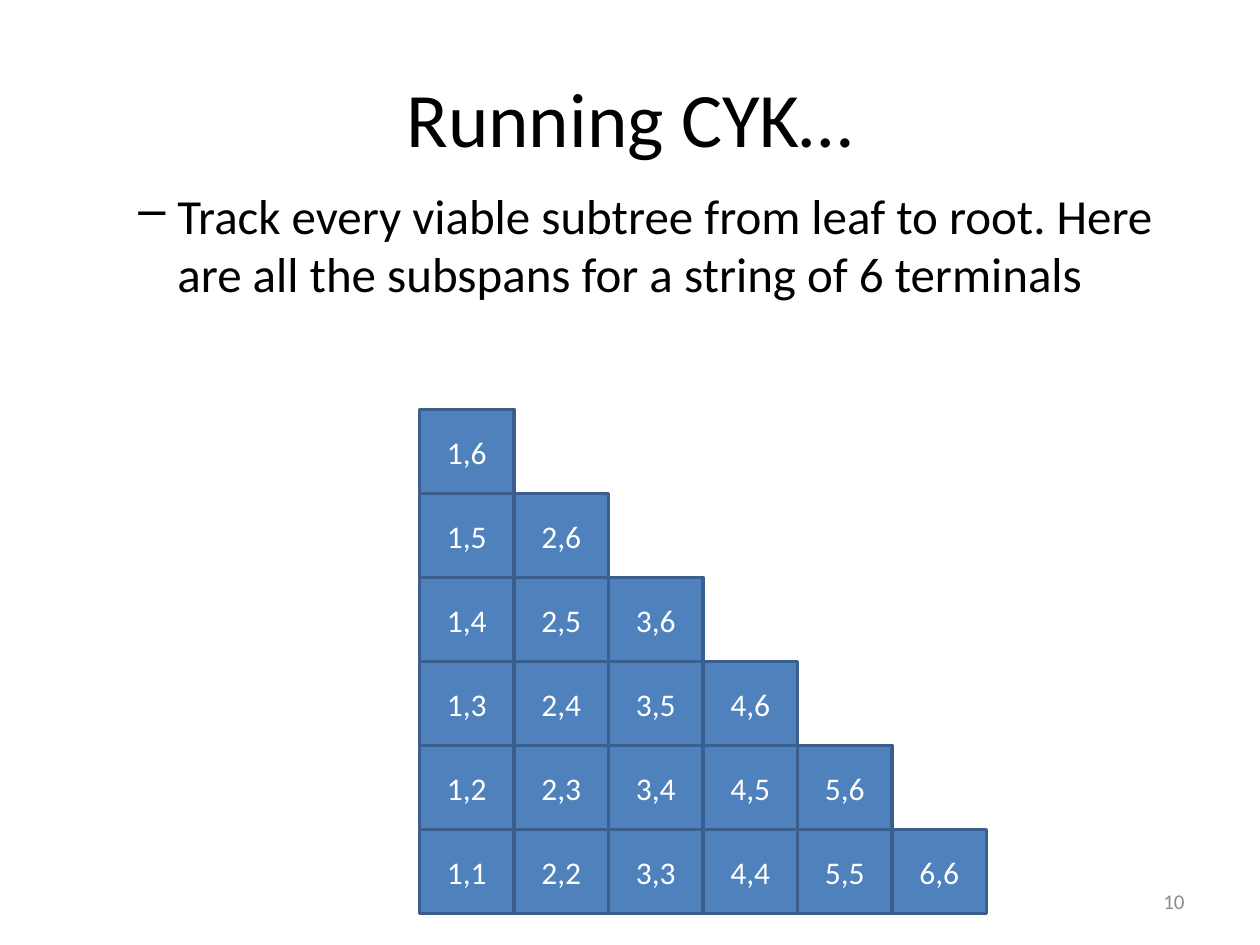
from dataclasses import dataclass

from lxml import etree
from pptx import Presentation
from pptx.dml.color import RGBColor
from pptx.enum import shapes, text
from pptx.oxml import ns
from pptx.util import Inches, Pt


@dataclass(frozen=True)
class Theme:
    font: str = "Calibri"
    ink: str = "000000"
    muted: str = "8C8C8C"
    cell_fill: str = "4F81BD"
    cell_line: str = "3A5F8C"
    cell_text: str = "FFFFFF"
    title_size: int = 44
    body_size: int = 28
    cell_size: int = 18
    number_size: int = 12


THEME = Theme()
TERMINALS = 6
CHART_LEFT, CHART_TOP = 3.33, 3.25
CELL_WIDTH, CELL_HEIGHT = 0.75, 2 / 3


def place(box, left, top, width, height):
    box.left, box.top = Inches(left), Inches(top)
    box.width, box.height = Inches(width), Inches(height)


def write(box, words, size, color, align, anchor=text.MSO_ANCHOR.MIDDLE):
    frame = box.text_frame
    frame.word_wrap = True
    frame.auto_size = text.MSO_AUTO_SIZE.NONE
    frame.vertical_anchor = anchor
    frame.text = words
    para = frame.paragraphs[0]
    para.alignment = align
    para.font.name = THEME.font
    para.font.size = Pt(size)
    para.font.color.rgb = RGBColor.from_string(color)
    return para


def add_text(page, area, *style):
    box = page.shapes.add_textbox(*map(Inches, area))
    return write(box, *style)


def add_dash(para, margin, indent):
    props = para._p.get_or_add_pPr()
    props.set("marL", str(Inches(margin)))
    props.set("indent", str(Inches(indent)))
    bullet = etree.Element(ns.qn("a:buChar"), char="–")
    props.find(ns.qn("a:defRPr")).addprevious(bullet)


def add_span_cell(page, first, last):
    """Place the cell for terminals first to last: longer spans sit higher."""
    row = TERMINALS - 1 - (last - first)
    cell = page.shapes.add_shape(
        shapes.MSO_SHAPE.RECTANGLE,
        Inches(CHART_LEFT + (first - 1) * CELL_WIDTH),
        Inches(CHART_TOP + row * CELL_HEIGHT),
        Inches(CELL_WIDTH), Inches(CELL_HEIGHT))
    cell.shadow.inherit = False
    cell.fill.solid()
    cell.fill.fore_color.rgb = RGBColor.from_string(THEME.cell_fill)
    cell.line.color.rgb = RGBColor.from_string(THEME.cell_line)
    cell.line.width = Pt(2)
    write(cell, f"{first},{last}", THEME.cell_size, THEME.cell_text,
          text.PP_ALIGN.CENTER)


def main():
    deck = Presentation()
    deck.slide_width, deck.slide_height = Inches(10), Inches(7.5)
    page = deck.slides.add_slide(deck.slide_layouts[5])

    # Title
    title = page.shapes.title
    place(title, 0.5, 0.3, 9, 1.25)
    write(title, "Running CYK…", THEME.title_size, THEME.ink,
          text.PP_ALIGN.CENTER)

    # Explanation
    point = add_text(
        page, (0.5, 1.42, 8.92, 2.25),
        "Track every viable subtree from leaf to root. "
        "Here are all the subspans for a string of 6 terminals",
        THEME.body_size, THEME.ink, text.PP_ALIGN.LEFT, text.MSO_ANCHOR.TOP)
    point.space_before = Pt(5.6)
    add_dash(point, 0.81, -0.31)

    # Slide number
    add_text(page, (7.17, 6.95, 2.33, 0.4), "10",
             THEME.number_size, THEME.muted, text.PP_ALIGN.RIGHT)

    # Triangle of subspans, shortest spans first
    for length in range(TERMINALS):
        for first in range(1, TERMINALS - length + 1):
            add_span_cell(page, first, first + length)

    deck.save("out.pptx")


if __name__ == "__main__":
    main()
